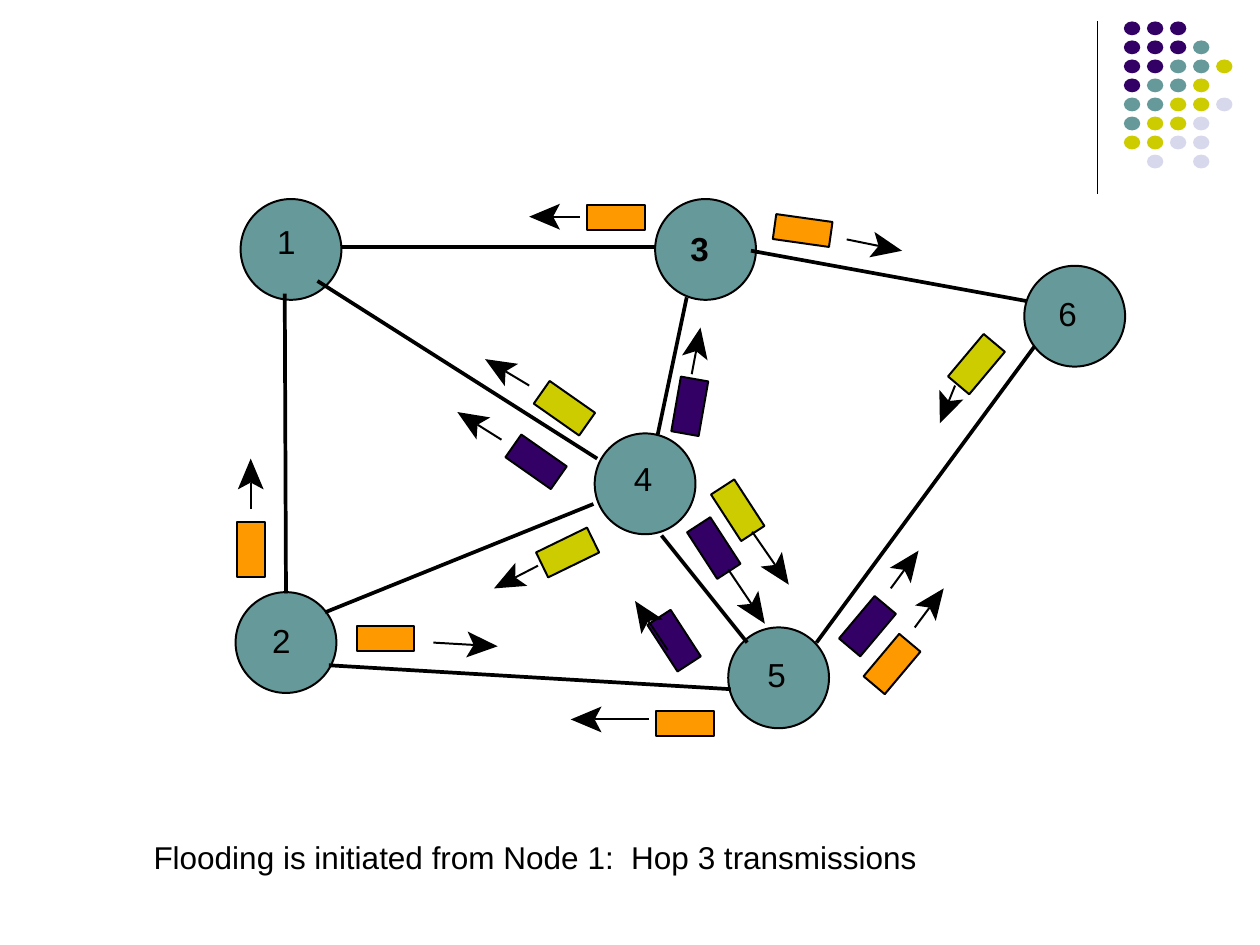
import math
from typing import NamedTuple

import pptx
import pptx.dml.color
import pptx.enum.shapes
import pptx.enum.text
import pptx.oxml.ns
import pptx.util
from lxml import etree

RGBColor = pptx.dml.color.RGBColor
Shape = pptx.enum.shapes.MSO_SHAPE

BLACK = RGBColor(0x00, 0x00, 0x00)
PURPLE = RGBColor(0x33, 0x00, 0x66)
TEAL = RGBColor(0x66, 0x99, 0x99)
YELLOW = RGBColor(0xCC, 0xCC, 0x00)
LAVENDER = RGBColor(0xD8, 0xD8, 0xEC)
ORANGE = RGBColor(0xFF, 0x99, 0x00)

COLUMNS, ROWS = 100, 75
SLIDE_WIDTH = pptx.util.Inches(10)
SLIDE_HEIGHT = pptx.util.Inches(7.5)
NODE_SIZE = 8
OUTLINE = 1.13
LINK_WIDTH = 2.13
HEAD_LENGTH, HEAD_NOTCH, HEAD_HALF = 2.45, 1.9, 1.03

DOT_COLOURS = {"P": PURPLE, "T": TEAL, "Y": YELLOW, "L": LAVENDER}
DOT_ROWS = ["PPP", "PPPT", "PPTTY", "PTTY", "TTYYL", "TYYL", "YYLL", " L L"]


class Point(NamedTuple):
    column: float
    row: float


class Node(NamedTuple):
    name: str
    corner: Point
    label: Point
    bold: bool = False


class Link(NamedTuple):
    start: Point
    end: Point


class Packet(NamedTuple):
    centre: Point
    angle: float
    colour: RGBColor
    start: Point
    tip: Point
    length: float = 4.4
    breadth: float = 2.2


NODES = [
    Node("1", Point(19.1, 15.8), Point(22, 17.6)),
    Node("2", Point(18.7, 47), Point(21.6, 49.2)),
    Node("3", Point(52, 15.8), Point(54.8, 18.1), True),
    Node("4", Point(47.2, 34.4), Point(50.3, 36.4)),
    Node("5", Point(57.8, 49.8), Point(60.9, 51.9)),
    Node("6", Point(81.3, 21.1), Point(84, 23.3)),
]

LINKS = [
    Link(Point(27.1, 19.6), Point(52, 19.6)),
    Link(Point(54.5, 23.6), Point(52.2, 34.5)),
    Link(Point(52.5, 42.5), Point(59.3, 51)),
    Link(Point(59.6, 19.9), Point(81.5, 23.9)),
    Link(Point(64.8, 51), Point(82.1, 27.5)),
    Link(Point(58, 54.7), Point(26.1, 52.8)),
    Link(Point(22.6, 23.3), Point(22.7, 47.1)),
    Link(Point(25.2, 22.3), Point(47.4, 36.4)),
    Link(Point(47.1, 40), Point(25.8, 48.6)),
]

PACKETS = [
    Packet(Point(48.9, 17.3), 0, ORANGE, Point(46, 17.2), Point(42, 17.2), 4.6, 2),
    Packet(Point(63.7, 18.3), 8, ORANGE, Point(67.2, 19), Point(71.6, 19.9), 4.5, 2),
    Packet(Point(19.9, 43.6), 90, ORANGE, Point(19.9, 40.4), Point(19.9, 36.4)),
    Packet(Point(42.55, 36.65), 35, PURPLE, Point(39.8, 34.9), Point(36.3, 32.7)),
    Packet(Point(54.75, 32.25), 100, PURPLE, Point(54.9, 29.7), Point(55.6, 26)),
    Packet(Point(53.5, 50.85), 57, PURPLE, Point(53, 51.6), Point(50.4, 47.7)),
    Packet(Point(68.85, 49.7), -50, PURPLE, Point(70.7, 46.7), Point(72.9, 43.7)),
    Packet(Point(56.65, 43.5), 57, PURPLE, Point(57.8, 45.2), Point(60.7, 49.5)),
    Packet(Point(70.8, 52.7), -50, ORANGE, Point(72.6, 49.8), Point(74.9, 46.7)),
    Packet(Point(54.4, 57.4), 0, ORANGE, Point(51.5, 57.1), Point(45.3, 57.1), 4.6, 2),
    Packet(Point(30.6, 50.7), 0, ORANGE, Point(34.4, 51), Point(39.5, 51.3), 4.6, 2),
    Packet(Point(45.05, 43.85), -26, YELLOW, Point(42.7, 44.9), Point(39.2, 46.7), 4.5),
    Packet(Point(44.8, 32.4), 35, YELLOW, Point(42, 30.6), Point(38.5, 28.5)),
    Packet(Point(58.55, 40.5), 57, YELLOW, Point(59.7, 42.2), Point(62.6, 46.4)),
    Packet(Point(77.5, 28.9), -50, YELLOW, Point(75.8, 30.6), Point(74.6, 33.6)),
]


def across(columns: float) -> int:
    return round(SLIDE_WIDTH * columns / COLUMNS)


def down(rows: float) -> int:
    return round(SLIDE_HEIGHT * rows / ROWS)


def paint(shape, colour: RGBColor, outline: float = 0) -> None:
    shape.shadow.inherit = False
    shape.fill.solid()
    shape.fill.fore_color.rgb = colour
    if outline:
        shape.line.color.rgb = BLACK
        shape.line.width = pptx.util.Pt(outline)
    else:
        shape.line.fill.background()


def draw_preset(page, kind, corner: Point, width: float, height: float,
                colour: RGBColor, outline: float = 0) -> None:
    shape = page.shapes.add_shape(kind, across(corner.column), down(corner.row),
                                  across(width), down(height))
    paint(shape, colour, outline)


def draw_polygon(page, points: list[Point], colour: RGBColor, outline: float = 0) -> None:
    corners = [(across(point.column), down(point.row)) for point in points]
    builder = page.shapes.build_freeform(*corners[0], scale=1.0)
    builder.add_line_segments(corners[1:], close=True)
    paint(builder.convert_to_shape(), colour, outline)


def draw_line(page, start: Point, end: Point, width: float) -> None:
    line = page.shapes.add_connector(
        pptx.enum.shapes.MSO_CONNECTOR.STRAIGHT,
        across(start.column), down(start.row), across(end.column), down(end.row))
    line.line.color.rgb = BLACK
    line.line.width = pptx.util.Pt(width)
    etree.SubElement(line._element.spPr, pptx.oxml.ns.qn("a:effectLst"))


def write_text(page, text: str, corner: Point, width: float, height: float, *,
               size: float, bold: bool = False, wrap: bool = False,
               inset: tuple[float, float] = (0, 0)) -> None:
    box = page.shapes.add_textbox(across(corner.column), down(corner.row),
                                  across(width), down(height))
    frame = box.text_frame
    frame.word_wrap = wrap
    frame.auto_size = pptx.enum.text.MSO_AUTO_SIZE.SHAPE_TO_FIT_TEXT
    frame.margin_left = frame.margin_right = across(inset[0])
    frame.margin_top = frame.margin_bottom = down(inset[1])
    span = frame.paragraphs[0].add_run()
    span.text = text
    span.font.name = "Arial"
    span.font.size = pptx.util.Pt(size)
    span.font.bold = bold
    span.font.color.rgb = BLACK


def offset(origin: Point, angle: float, along: float, aside: float) -> Point:
    return Point(origin.column + along * math.cos(angle) - aside * math.sin(angle),
                 origin.row + along * math.sin(angle) + aside * math.cos(angle))


def draw_arrow(page, start: Point, tip: Point) -> None:
    angle = math.atan2(tip.row - start.row, tip.column - start.column)
    notch = offset(tip, angle, -HEAD_NOTCH, 0)
    draw_line(page, start, notch, OUTLINE)
    wings = [offset(tip, angle, -HEAD_LENGTH, side) for side in (HEAD_HALF, -HEAD_HALF)]
    draw_polygon(page, [wings[0], notch, wings[1], tip], BLACK)


def draw_packet(page, packet: Packet) -> None:
    half_length, half_breadth = packet.length / 2, packet.breadth / 2
    if packet.angle % 90 == 0:
        if packet.angle:
            half_length, half_breadth = half_breadth, half_length
        corner = Point(packet.centre.column - half_length, packet.centre.row - half_breadth)
        draw_preset(page, Shape.RECTANGLE, corner, 2 * half_length, 2 * half_breadth,
                    packet.colour, OUTLINE)
    else:
        signs = [(-1, -1), (-1, 1), (1, 1), (1, -1)]
        angle = math.radians(packet.angle)
        corners = [offset(packet.centre, angle, along * half_length, aside * half_breadth)
                   for along, aside in signs]
        draw_polygon(page, corners, packet.colour, OUTLINE)
    draw_arrow(page, packet.start, packet.tip)


def draw_dots(page) -> None:
    for row, pattern in enumerate(DOT_ROWS):
        for column, key in enumerate(pattern):
            if key in DOT_COLOURS:
                corner = Point(89.2 + 1.83 * column, 1.7 + 1.51 * row)
                draw_preset(page, Shape.OVAL, corner, 1.3, 1.1, DOT_COLOURS[key])


def main() -> None:
    deck = pptx.Presentation()
    deck.slide_width, deck.slide_height = SLIDE_WIDTH, SLIDE_HEIGHT
    page = deck.slides.add_slide(deck.slide_layouts[6])
    draw_line(page, Point(87.1, 1.7), Point(87.1, 15.4), 0.75)
    draw_dots(page)
    for node in NODES:
        draw_preset(page, Shape.OVAL, node.corner, NODE_SIZE, NODE_SIZE, TEAL, OUTLINE)
    for link in LINKS:
        draw_line(page, link.start, link.end, LINK_WIDTH)
    for node in NODES:
        write_text(page, node.name, node.label, 1.5, 3.2, size=19, bold=node.bold)
    for packet in PACKETS:
        draw_packet(page, packet)
    write_text(page, "Flooding is initiated from Node 1:  Hop 3 transmissions",
               Point(11.2, 66), 67.1, 4, size=18, wrap=True, inset=(1, 0.5))
    deck.save("out.pptx")


if __name__ == "__main__":
    main()
